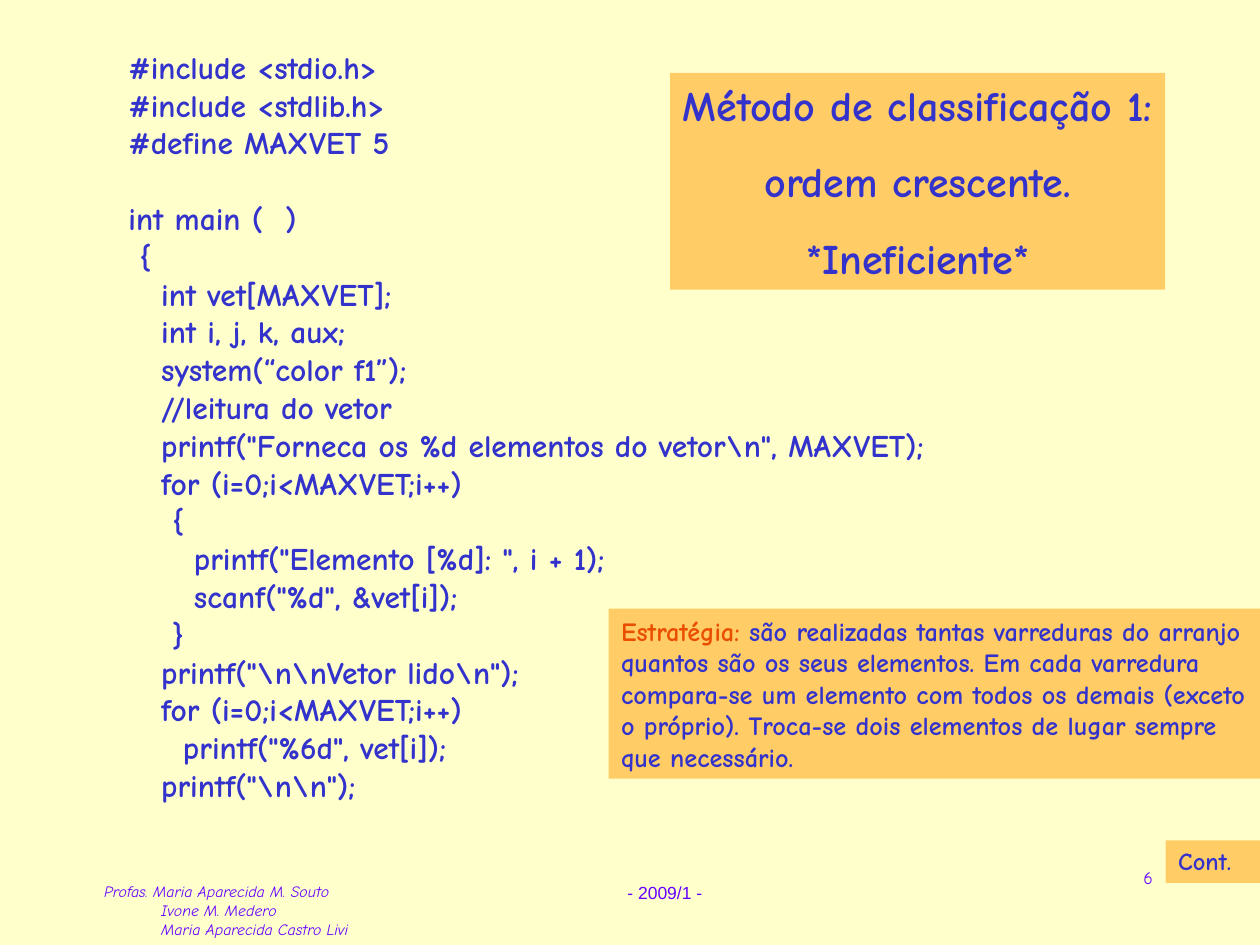
"""Build the slide on sorting method 1: code listing, strategy note and footer."""
from dataclasses import dataclass
from typing import Optional

from pptx import Presentation
from pptx.dml.color import RGBColor
from pptx.enum.shapes import MSO_SHAPE as Shape
from pptx.enum.text import MSO_ANCHOR as Anchor, PP_ALIGN as Align
from pptx.util import Cm, Pt

CREAM = RGBColor(0xFF, 0xFF, 0xCC)
AMBER = RGBColor(0xFF, 0xCC, 0x66)
BLUE = RGBColor(0x33, 0x33, 0xCC)
ORANGE = RGBColor(0xEA, 0x4E, 0x00)
VIOLET = RGBColor(0x66, 0x00, 0xFF)
CODE_STEP = 0.22
CODE_LINE = 21.6


@dataclass(frozen=True)
class Span:
    text: str
    color: RGBColor = BLUE


@dataclass(frozen=True)
class Line:
    spans: tuple[Span, ...]
    indent: float = 0
    before: float = 0


@dataclass(frozen=True)
class Panel:
    left: float
    top: float
    width: float
    height: float
    lines: list[Line]
    size: float
    fill: Optional[RGBColor] = None
    align: Align = Align.LEFT
    font: str = "Comic Neue"
    bold: bool = False
    italic: bool = False
    wrap: bool = True


def code_line(text: str, depth: int = 0, before: float = 0) -> Line:
    return Line((Span(text),), depth * CODE_STEP, before)


def footer_line(text: str, indent: float = 0) -> Line:
    return Line((Span(text, VIOLET),), indent)


def draw_panel(slide, panel: Panel) -> None:
    bounds = [Cm(n) for n in (panel.left, panel.top, panel.width, panel.height)]
    if panel.fill is None:
        box = slide.shapes.add_textbox(*bounds)
    else:
        box = slide.shapes.add_shape(Shape.RECTANGLE, *bounds)
        box.shadow.inherit = False
        box.fill.solid()
        box.fill.fore_color.rgb = panel.fill
        box.line.fill.background()
    frame = box.text_frame
    frame.word_wrap = panel.wrap
    frame.vertical_anchor = Anchor.TOP
    for index, line in enumerate(panel.lines):
        paragraph = frame.add_paragraph() if index else frame.paragraphs[0]
        paragraph.alignment = panel.align
        paragraph.space_before = Pt(line.before)
        if line.indent:
            paragraph._p.get_or_add_pPr().set("marL", str(Cm(line.indent)))
        for span in line.spans:
            run = paragraph.add_run()
            run.text = span.text
            run.font.name = panel.font
            run.font.size = Pt(panel.size)
            run.font.bold = panel.bold
            run.font.italic = panel.italic
            run.font.color.rgb = span.color


AUTHORS = [
    footer_line("Profas. Maria Aparecida M. Souto"),
    footer_line("Ivone M. Medero", 1.15),
    footer_line("Maria Aparecida Castro Livi", 1.15),
]

CODE = [
    code_line("#include <stdio.h>"),
    code_line("#include <stdlib.h>"),
    code_line("#define MAXVET 5"),
    code_line("int main (  )", before=CODE_LINE),
    code_line("{", 1),
    code_line("int vet[MAXVET];", 3),
    code_line("int i, j, k, aux;", 3),
    code_line("system(“color f1”);", 3),
    code_line("//leitura do vetor", 3),
    code_line(r'printf("Forneca os %d elementos do vetor\n", MAXVET);', 3),
    code_line("for (i=0;i<MAXVET;i++)", 3),
    code_line("{", 4),
    code_line('printf("Elemento [%d]: ", i + 1);', 6),
    code_line('scanf("%d", &vet[i]);', 6),
    code_line("}", 4),
    code_line(r'printf("\n\nVetor lido\n");', 3),
    code_line("for (i=0;i<MAXVET;i++)", 3),
    code_line('printf("%6d", vet[i]);', 5),
    code_line(r'printf("\n\n");', 3),
]

METHOD = [
    Line((Span(text),), before=15)
    for text in ("Método de classificação 1:", "ordem crescente.", "*Ineficiente*")
]

STRATEGY = [Line((
    Span("Estratégia: ", ORANGE),
    Span("são realizadas tantas varreduras do arranjo quantos são os seus "
         "elementos. Em cada varredura compara-se um elemento com todos os "
         "demais (exceto o próprio). Troca-se dois elementos de lugar sempre "
         "que necessário."),
))]

PANELS = [
    Panel(1.85, 17.65, 6.65, 1.4, AUTHORS, 9, italic=True),
    Panel(12.4, 17.65, 2.01, 0.69, [footer_line("- 2009/1 -")], 10,
          font="Arial", wrap=False),
    Panel(2.34, 0.84, 22.02, 16.26, CODE, 18, CREAM, bold=True),
    Panel(13.51, 1.47, 9.98, 4.37, METHOD, 24, AMBER, Align.CENTER,
          bold=True, wrap=False),
    Panel(23.5, 16.94, 1.9, 0.86, [Line((Span("Cont."),))], 14, AMBER, bold=True),
    Panel(12.27, 12.27, 13.13, 3.43, STRATEGY, 15, AMBER, bold=True),
    Panel(18.21, 17.35, 5.28, 1.27, [footer_line("6")], 10, align=Align.RIGHT),
]


def main() -> None:
    deck = Presentation()
    deck.slide_width, deck.slide_height = Cm(25.4), Cm(19.05)
    slide = deck.slides.add_slide(deck.slide_layouts[6])
    slide.background.fill.solid()
    slide.background.fill.fore_color.rgb = CREAM
    for panel in PANELS:
        draw_panel(slide, panel)
    deck.save("out.pptx")


if __name__ == "__main__":
    main()
